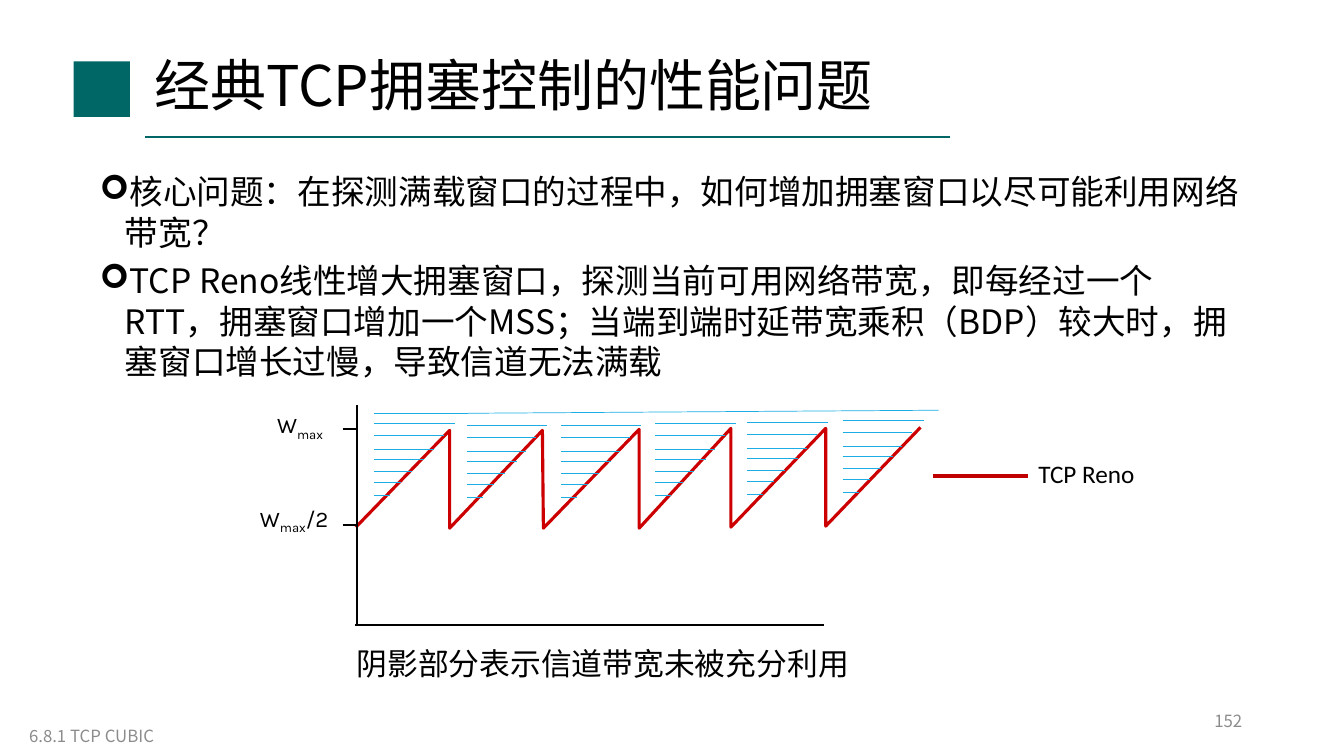
from pptx import Presentation
from pptx.dml.color import RGBColor
from pptx.enum.shapes import MSO_CONNECTOR, MSO_SHAPE
from pptx.enum.text import MSO_ANCHOR, MSO_AUTO_SIZE, PP_ALIGN
from pptx.oxml.ns import qn
from pptx.util import Pt
from lxml import etree

STRAIGHT = MSO_CONNECTOR.STRAIGHT
RECTANGLE = MSO_SHAPE.RECTANGLE
TOP, MIDDLE = MSO_ANCHOR.TOP, MSO_ANCHOR.MIDDLE
LEFT, RIGHT = PP_ALIGN.LEFT, PP_ALIGN.RIGHT
FIT_SHAPE, NO_FIT = MSO_AUTO_SIZE.SHAPE_TO_FIT_TEXT, MSO_AUTO_SIZE.NONE

PX = 9144  # 100 px to the inch
CJK = "Noto Sans CJK SC"
TEAL, BLACK, GREY = "006666", "000000", "8C8C8C"
SAW_RED, LEGEND_RED, HATCH_BLUE = "CC0000", "C00000", "1CADE4"

TITLE = "经典TCP拥塞控制的性能问题"
POINTS = [
    "核心问题：在探测满载窗口的过程中，如何增加拥塞窗口以尽可能利用网络带宽？",
    "TCP Reno线性增大拥塞窗口，探测当前可用网络带宽，即每经过一个RTT，"
    "拥塞窗口增加一个MSS；当端到端时延带宽乘积（BDP）较大时，"
    "拥塞窗口增长过慢，导致信道无法满载",
]

# Sawtooth corners, and the hatching above each rising edge
SAWTOOTH = [(353, 523), (446, 427), (446, 524), (538, 427), (539, 524),
            (634, 426), (634, 524), (725, 425), (725, 523), (819, 425),
            (819, 522), (913, 424)]
HATCH_ORIGINS = [(371, 420), (463, 422), (556, 422),
                 (650, 420), (741, 419), (836, 417)]
HATCH_ROWS = [(0, 80), (12, 69), (26, 59), (36, 50),
              (48, 38), (59, 27), (71, 16)]  # drop, length


def color(hex_string):
    return RGBColor.from_string(hex_string)


def add_run(paragraph, text, size, font=CJK, ink=BLACK, baseline=0):
    run = paragraph.add_run()
    run.text = text
    run.font.size = Pt(size)
    run.font.name = font
    run.font.color.rgb = color(ink)
    properties = run._r.get_or_add_rPr()
    etree.SubElement(properties, qn("a:ea")).set("typeface", font)
    if baseline:
        properties.set("baseline", str(baseline * 1000))


def add_frame(slide, left, top, width, height, wrap=True, anchor=TOP):
    box = slide.shapes.add_textbox(left * PX, top * PX, width * PX, height * PX)
    frame = box.text_frame
    frame.word_wrap = wrap
    frame.auto_size = NO_FIT if wrap else FIT_SHAPE
    frame.vertical_anchor = anchor
    return frame


def add_line(slide, x1, y1, x2, y2, ink, weight):
    line = slide.shapes.add_connector(STRAIGHT, x1 * PX, y1 * PX, x2 * PX, y2 * PX)
    line.line.color.rgb = color(ink)
    line.line.width = Pt(weight)
    etree.SubElement(line._element.spPr, qn("a:effectLst"))


def add_heading(slide):
    emblem = slide.shapes.add_shape(RECTANGLE, 73 * PX, 61 * PX, 56 * PX, 55 * PX)
    emblem.shadow.inherit = False
    emblem.fill.solid()
    emblem.fill.fore_color.rgb = color(TEAL)
    emblem.line.fill.background()
    add_line(slide, 144, 136, 942, 136, TEAL, 1.5)

    title = slide.shapes.title
    title.left, title.top = 143 * PX, 40 * PX
    title.width, title.height = 899 * PX, 96 * PX
    frame = title.text_frame
    frame.word_wrap = True
    frame.auto_size = NO_FIT
    frame.vertical_anchor = MIDDLE
    paragraph = frame.paragraphs[0]
    paragraph.alignment = LEFT
    paragraph.line_spacing = 0.9
    add_run(paragraph, TITLE, 40)


def add_bullets(slide, points):
    frame = add_frame(slide, 89, 165, 1150, 222)
    for index, point in enumerate(points):
        paragraph = frame.add_paragraph() if index else frame.paragraphs[0]
        paragraph.line_spacing = 1.0
        if index:
            paragraph.space_before = Pt(6)
        properties = paragraph._p.get_or_add_pPr()
        properties.set("marL", str(25 * PX))
        properties.set("indent", str(-25 * PX))
        etree.SubElement(properties, qn("a:buFont")).set("typeface", "Wingdings")
        etree.SubElement(properties, qn("a:buChar")).set("char", "➢")
        add_run(paragraph, point, 24)


def add_sawtooth(slide):
    builder = slide.shapes.build_freeform(*SAWTOOTH[0], scale=PX)
    builder.add_line_segments(SAWTOOTH[1:], close=False)
    window = builder.convert_to_shape()
    window.shadow.inherit = False
    window.fill.background()
    window.line.color.rgb = color(SAW_RED)
    window.line.width = Pt(2.25)


def add_axes(slide):
    add_line(slide, 352, 620, 817, 620, BLACK, 1.5)
    add_line(slide, 354, 402, 354, 621, BLACK, 1.5)
    for tick in (426, 521):
        add_line(slide, 340, tick, 353, tick, BLACK, 1.5)
    for left, top, width, suffix in ((265, 403, 68, ""), (248, 496, 89, "/2")):
        label = add_frame(slide, left, top, width, 37, wrap=False).paragraphs[0]
        add_run(label, "W", 16, "Karla")
        add_run(label, "max", 16, "Karla", baseline=-25)
        if suffix:
            add_run(label, suffix, 16, "Karla")


def add_hatching(slide):
    add_line(slide, 371, 410, 464, 410, HATCH_BLUE, 0.5)
    add_line(slide, 464, 410, 931, 407, HATCH_BLUE, 0.5)
    for left, top in HATCH_ORIGINS:
        for drop, length in HATCH_ROWS:
            y = top + drop
            add_line(slide, left, y, left + length, y, HATCH_BLUE, 0.5)


def add_legend_and_caption(slide):
    caption = add_frame(slide, 344, 635, 514, 47, wrap=False)
    add_run(caption.paragraphs[0], "阴影部分表示信道带宽未被充分利用", 22)
    add_line(slide, 925, 472, 1020, 472, LEGEND_RED, 3)
    legend = add_frame(slide, 1020, 450, 117, 40)
    add_run(legend.paragraphs[0], "TCP Reno", 18, "Calibri")


def add_footer(slide):
    for left, top, text, alignment in ((942, 695, "152", RIGHT),
                                       (19, 710, "6.8.1 TCP CUBIC", LEFT)):
        paragraph = add_frame(slide, left, top, 300, 40, anchor=MIDDLE).paragraphs[0]
        paragraph.alignment = alignment
        add_run(paragraph, text, 12, ink=GREY)


def main():
    deck = Presentation()
    deck.slide_width, deck.slide_height = 1333 * PX, 750 * PX
    slide = deck.slides.add_slide(deck.slide_layouts[5])
    add_heading(slide)
    add_bullets(slide, POINTS)
    # Congestion window diagram
    add_sawtooth(slide)
    add_axes(slide)
    add_hatching(slide)
    add_legend_and_caption(slide)
    add_footer(slide)
    deck.save("out.pptx")


if __name__ == "__main__":
    main()
